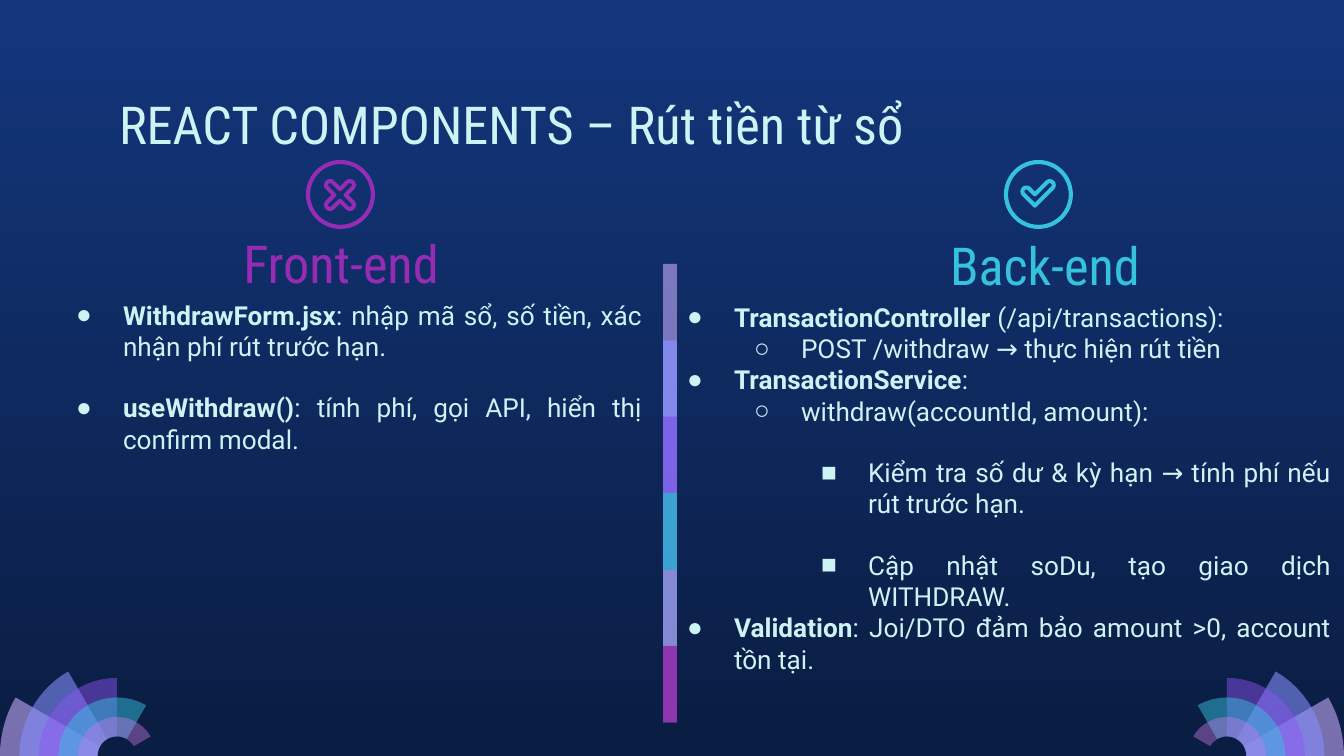
from math import cos, radians, sin

from lxml.etree import SubElement
from pptx import Presentation
from pptx.dml.color import RGBColor
from pptx.enum.shapes import MSO_SHAPE
from pptx.enum.text import MSO_ANCHOR, MSO_AUTO_SIZE, PP_ALIGN
from pptx.oxml.ns import qn
from pptx.util import Pt

EMU_PER_PX = 914400 / 134.4
SLIDE_WIDTH, SLIDE_HEIGHT = 1344, 756

NIGHT_TOP = RGBColor(0x13, 0x36, 0x7C)
NIGHT_BOTTOM = RGBColor(0x0A, 0x1D, 0x42)
PALE = RGBColor(0xCE, 0xF3, 0xF5)
CYAN = RGBColor(0x35, 0xC2, 0xDF)
PURPLE = RGBColor(0x97, 0x2C, 0xB4)
LILAC = RGBColor(0xC8, 0xAC, 0xFD)
PERIWINKLE = RGBColor(0x87, 0x8F, 0xFF)
VIOLET = RGBColor(0x91, 0x54, 0xF8)
ORCHID = RGBColor(0xCA, 0x7B, 0xEB)

# Colour and opacity in percent
FAN_RINGS = [(LILAC, 58), (PERIWINKLE, 58), (VIOLET, 46), (CYAN, 49), (ORCHID, 42)]
DIVIDER_BARS = [(LILAC, 59), (PERIWINKLE, 74), (VIOLET, 53),
                (CYAN, 76), (ORCHID, 56), (PURPLE, 74)]

BULLETS = "●○■"
# Level, bold text, plain text, space before in points
FRONT_END_ITEMS = [
    (0, "WithdrawForm.jsx", ": nhập mã sổ, số tiền, xác nhận phí rút trước hạn.", 0),
    (0, "useWithdraw()", ": tính phí, gọi API, hiển thị confirm modal.", 16),
]
BACK_END_ITEMS = [
    (0, "TransactionController", " (/api/transactions):", 0),
    (1, "", "POST /withdraw → thực hiện rút tiền", 0),
    (0, "TransactionService", ":", 0),
    (1, "", "withdraw(accountId, amount):", 0),
    (2, "", "Kiểm tra số dư & kỳ hạn → tính phí nếu rút trước hạn.", 16),
    (2, "", "Cập nhật soDu, tạo giao dịch WITHDRAW.", 16),
    (0, "Validation", ": Joi/DTO đảm bảo amount >0, account tồn tại.", 0),
]


def px(length):
    return round(length * EMU_PER_PX)


def paint(shape, color, opacity=100):
    shape.shadow.inherit = False
    shape.line.fill.background()
    shape.fill.solid()
    shape.fill.fore_color.rgb = color
    if opacity < 100:
        color_element = shape.fill._xPr.find(qn("a:solidFill"))[0]
        SubElement(color_element, qn("a:alpha"), val=str(opacity * 1000))


def set_background(slide):
    fill = slide.background.fill
    fill.gradient()
    fill.gradient_angle = 270
    for stop, color in zip(fill.gradient_stops, (NIGHT_TOP, NIGHT_BOTTOM)):
        stop.color.rgb = color


def arc(center_x, center_y, radius, start, end, steps=16):
    """Points on a circle; angles in degrees, clockwise from the right."""
    angles = [radians(start + (end - start) * i / steps) for i in range(steps + 1)]
    return [(center_x + radius * cos(a), center_y + radius * sin(a)) for a in angles]


def add_polygon(slide, points):
    corners = [(px(x), px(y)) for x, y in points]
    builder = slide.shapes.build_freeform(*corners[0], scale=1.0)
    builder.add_line_segments(corners[1:], close=True)
    return builder.convert_to_shape()


def add_fan(slide, center_x, mirrored=False):
    """Rings that shrink by one step while each opens 30 degrees further."""
    step = 19.5
    for index, (color, opacity) in enumerate(FAN_RINGS):
        end = 210 + 30 * index
        outer = arc(0, SLIDE_HEIGHT, step * (6 - index), 180, end)
        inner = arc(0, SLIDE_HEIGHT, step, end, 180)
        side = -1 if mirrored else 1
        points = [(center_x + side * x, y) for x, y in outer + inner]
        paint(add_polygon(slide, points), color, opacity)


def add_symbol(slide, center_x, center_y, arms, color):
    """Hollow symbol made of round-ended arms: (angle, length) in angle order."""
    radius = 4
    points = []
    for index, (angle, length) in enumerate(arms):
        tip_x = center_x + length * cos(radians(angle))
        tip_y = center_y + length * sin(radians(angle))
        points += arc(tip_x, tip_y, radius, angle - 90, angle + 90)
        following = arms[(index + 1) % len(arms)][0]
        half_gap = (following - angle) % 360 / 2
        reach = radius / sin(radians(half_gap))
        middle = radians(angle + half_gap)
        points.append((center_x + reach * cos(middle), center_y + reach * sin(middle)))
    symbol = add_polygon(slide, points)
    symbol.shadow.inherit = False
    symbol.fill.background()
    symbol.line.color.rgb = color
    symbol.line.width = px(4)


def add_ring(slide, left, top, color):
    ring = slide.shapes.add_shape(MSO_SHAPE.DONUT, px(left), px(top), px(69), px(69))
    ring.adjustments[0] = 0.06
    paint(ring, color)


def add_divider(slide):
    step = 76.4
    for index, (color, opacity) in enumerate(DIVIDER_BARS):
        is_last = index == len(DIVIDER_BARS) - 1
        height = step if is_last else 2 * step
        bar = slide.shapes.add_shape(MSO_SHAPE.RECTANGLE, px(663), px(264 + step * index),
                                     px(14), px(height))
        paint(bar, color, opacity)


def place(shape, left, top, width, height, anchor):
    shape.left, shape.top = px(left), px(top)
    shape.width, shape.height = px(width), px(height)
    frame = shape.text_frame
    frame.word_wrap = True
    frame.auto_size = MSO_AUTO_SIZE.NONE
    frame.vertical_anchor = anchor
    frame.margin_left = frame.margin_right = px(13)
    frame.margin_top = frame.margin_bottom = px(13)
    return frame


def format_run(run, font_name, size, color, bold=False):
    run.font.name = font_name
    run.font.size = Pt(size)
    run.font.bold = bold
    run.font.color.rgb = color


def fill_heading(shape, text, box, color, anchor, alignment):
    frame = place(shape, *box, anchor)
    frame.text = text
    paragraph = frame.paragraphs[0]
    paragraph.alignment = alignment
    paragraph.space_before = Pt(0)
    format_run(paragraph.runs[0], "Roboto Condensed", 28, color)


def add_bullet(paragraph, level):
    properties = paragraph._p.get_or_add_pPr()
    properties.set("marL", str(px(67 * (level + 1))))
    properties.set("indent", str(px(-47)))
    bullet_color = SubElement(properties, qn("a:buClr"))
    SubElement(bullet_color, qn("a:srgbClr"), val=str(PALE))
    SubElement(properties, qn("a:buChar"), char=BULLETS[level])


def fill_list(shape, items, box):
    frame = place(shape, *box, MSO_ANCHOR.TOP)
    for index, (level, bold_text, plain_text, gap) in enumerate(items):
        paragraph = frame.add_paragraph() if index else frame.paragraphs[0]
        add_bullet(paragraph, level)
        paragraph.level = level
        paragraph.alignment = PP_ALIGN.JUSTIFY
        paragraph.space_before = Pt(gap)
        for text, bold in ((bold_text, True), (plain_text, False)):
            if text:
                run = paragraph.add_run()
                run.text = text
                format_run(run, "Roboto", 14, PALE, bold)


def main():
    presentation = Presentation()
    presentation.slide_width = px(SLIDE_WIDTH)
    presentation.slide_height = px(SLIDE_HEIGHT)
    slide = presentation.slides.add_slide(presentation.slide_layouts.get_by_name("Comparison"))
    set_background(slide)

    # Title, column headings and lists
    title, front_heading, front_list, back_heading, back_list = slide.placeholders
    fill_heading(title, "REACT COMPONENTS – Rút tiền từ sổ", (106, 79, 1133, 85),
                 PALE, MSO_ANCHOR.TOP, PP_ALIGN.LEFT)
    fill_heading(front_heading, "Front-end", (183, 222, 316, 85),
                 PURPLE, MSO_ANCHOR.BOTTOM, PP_ALIGN.CENTER)
    fill_heading(back_heading, "Back-end", (887, 224, 316, 85),
                 CYAN, MSO_ANCHOR.BOTTOM, PP_ALIGN.CENTER)
    fill_list(front_list, FRONT_END_ITEMS, (43, 286, 612, 382))
    fill_list(back_list, BACK_END_ITEMS, (654, 288, 690, 372))

    # Corner fans
    add_fan(slide, 117)
    add_fan(slide, SLIDE_WIDTH - 117, mirrored=True)

    # Cross and check icons
    add_ring(slide, 306, 160, PURPLE)
    add_symbol(slide, 340, 195, [(angle, 14) for angle in (45, 135, 225, 315)], PURPLE)
    add_ring(slide, 1004, 160, CYAN)
    add_symbol(slide, 1035, 200, [(225, 12), (315, 21)], CYAN)

    # Divider between the columns
    add_divider(slide)
    presentation.save("out.pptx")


if __name__ == "__main__":
    main()
